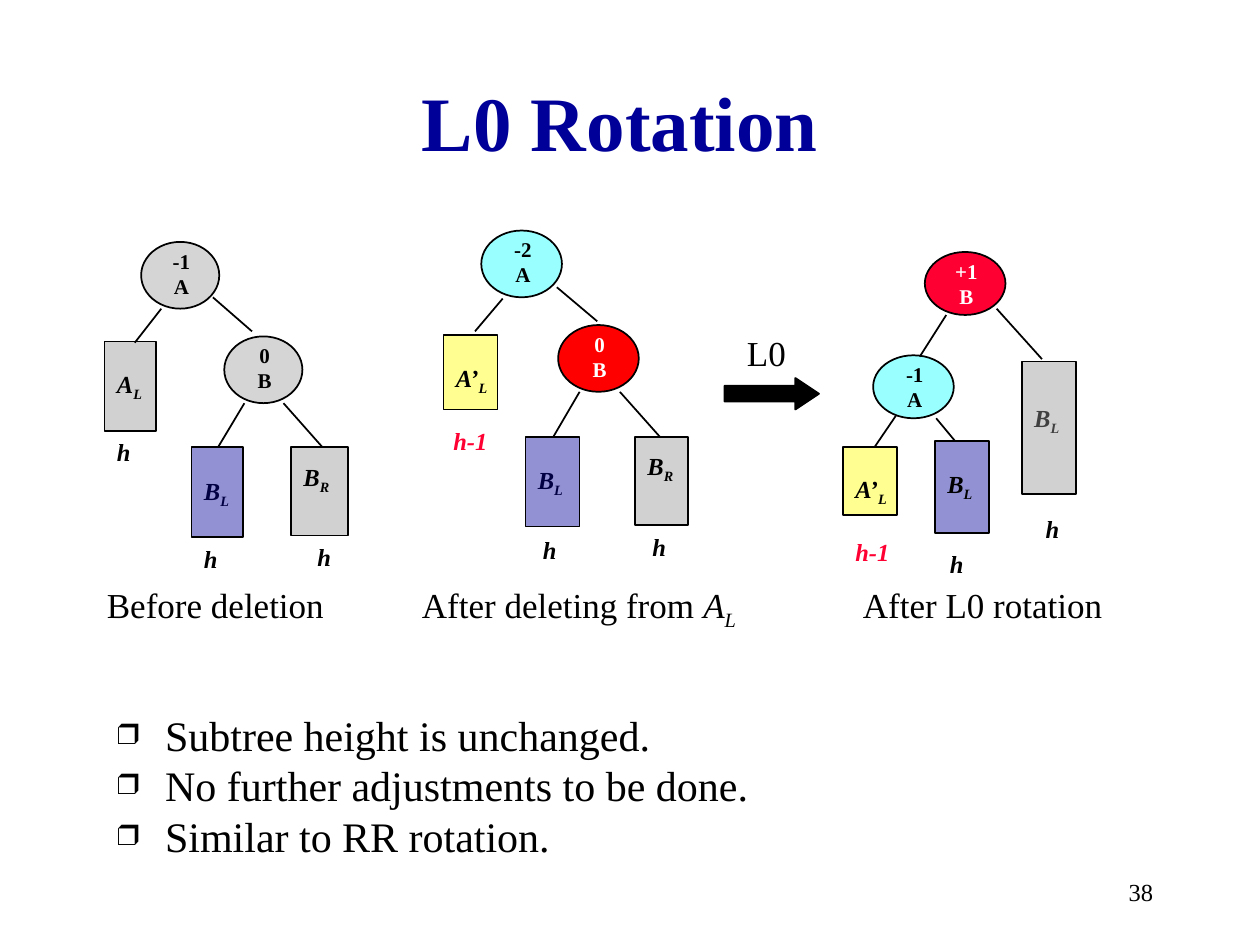
from lxml.etree import SubElement
from pptx import Presentation
from pptx.dml.color import RGBColor
from pptx.enum.shapes import MSO_CONNECTOR, MSO_SHAPE
from pptx.enum.text import MSO_ANCHOR, PP_ALIGN
from pptx.oxml.ns import qn
from pptx.util import Inches, Pt

FONT = "Times New Roman"
BLACK, WHITE, RED, GRAY = "000000", "FFFFFF", "FF0033", "969696"
NAVY, CYAN, YELLOW = "000099", "00FFFF", "FFFF00"

# nodes: balance, key, left, top, fill, opacity %, text colour
# subtrees: letter, subscript, left, top, width, height, fill, label top, label covered
# heights: text, left, top, colour
# edges: x1, y1, x2, y2
TREES = [
    {
        "node_size": (0.62, 0.53),
        "nodes": [("-1", "A", 1.12, 1.92, GRAY, 40, BLACK),
                  ("0", "B", 1.78, 2.67, GRAY, 40, BLACK)],
        "subtrees": [("B", "L", 1.52, 3.55, 0.41, 0.71, NAVY, 3.73, True),
                     ("B", "R", 2.31, 3.55, 0.45, 0.7, GRAY, 3.62, False),
                     ("A", "L", 0.83, 2.71, 0.41, 0.71, GRAY, 2.88, False)],
        "heights": [("h", 0.83, 3.42, BLACK), ("h", 2.42, 4.25, BLACK),
                    ("h", 1.52, 4.27, BLACK)],
        "edges": [(1.28, 2.45, 1.07, 2.72), (1.94, 3.2, 1.73, 3.55),
                  (2.25, 3.2, 2.56, 3.55), (1.69, 2.36, 2, 2.63)],
    },
    {
        "node_size": (0.64, 0.53),
        "nodes": [("-2", "A", 3.82, 1.83, CYAN, 40, BLACK),
                  ("0", "B", 4.43, 2.58, "FF0000", 100, WHITE)],
        "subtrees": [("B", "L", 4.17, 3.47, 0.43, 0.71, NAVY, 3.64, True),
                     ("B", "R", 5.04, 3.47, 0.42, 0.7, GRAY, 3.53, False),
                     ("A’", "L", 3.52, 2.66, 0.43, 0.59, YELLOW, 2.83, False)],
        "heights": [("h-1", 3.5, 3.33, RED), ("h", 5.08, 4.17, BLACK),
                    ("h", 4.21, 4.2, BLACK)],
        "edges": [(3.99, 2.37, 3.77, 2.63), (4.6, 3.11, 4.39, 3.47),
                  (4.92, 3.11, 5.24, 3.47), (4.42, 2.28, 4.74, 2.55)],
    },
    {
        "node_size": (0.64, 0.5),
        "nodes": [("-1", "A", 6.93, 2.82, CYAN, 40, BLACK),
                  ("+1", "B", 7.34, 2, RED, 100, WHITE)],
        "subtrees": [("B", "L", 7.42, 3.5, 0.43, 0.73, NAVY, 3.67, False),
                     ("A’", "L", 6.69, 3.55, 0.43, 0.54, YELLOW, 3.71, False),
                     ("B", "L", 8.11, 2.87, 0.43, 1.05, GRAY, 3.15, True)],
        "heights": [("h-1", 6.69, 4.21, RED), ("h", 7.44, 4.31, BLACK),
                    ("h", 8.2, 4.03, BLACK)],
        "edges": [(7.51, 2.5, 7.3, 2.83), (7.91, 2.45, 8.27, 2.85),
                  (7.43, 3.32, 7.58, 3.5), (7.11, 3.3, 6.94, 3.55)],
    },
]
# left, width, runs as (text, italic, subscript)
CAPTIONS = [
    (0.75, 2, [("Before deletion", False, False)]),
    (3.25, 2.83, [("After deleting from ", False, False),
                  ("A", True, False), ("L", True, True)]),
    (6.75, 2.33, [("After L0 rotation", False, False)]),
]
POINTS = ["Subtree height is unchanged.",
          "No further adjustments to be done.",
          "Similar to RR rotation."]


def rgb(color):
    return RGBColor.from_string(color)


def add_run(paragraph, text, size, color=BLACK, bold=False, italic=False, subscript=False):
    run = paragraph.add_run()
    run.text = text
    font = run.font
    font.name, font.size, font.bold, font.italic = FONT, Pt(size), bold, italic
    font.color.rgb = rgb(color)
    if subscript:
        run.font._element.set("baseline", "-25000")


def add_text(left, top, width, height, align=PP_ALIGN.LEFT, wrap=True):
    """Add an empty text box and return its first paragraph."""
    frame = slide.shapes.add_textbox(*map(Inches, (left, top, width, height))).text_frame
    frame.word_wrap = wrap
    frame.paragraphs[0].alignment = align
    return frame.paragraphs[0]


def add_outlined(preset, left, top, width, height, fill, opacity=100):
    shape = slide.shapes.add_shape(preset, *map(Inches, (left, top, width, height)))
    shape.shadow.inherit = False
    shape.fill.solid()
    shape.fill.fore_color.rgb = rgb(fill)
    shape.line.color.rgb = rgb(BLACK)
    shape.line.width = Pt(1)
    if opacity < 100:
        color = shape.fill._xPr.find(qn("a:solidFill"))[0]
        SubElement(color, qn("a:alpha"), val=str(opacity * 1000))
    return shape


def add_edge(*ends):
    edge = slide.shapes.add_connector(MSO_CONNECTOR.STRAIGHT, *map(Inches, ends))
    edge.line.color.rgb = rgb(BLACK)
    edge.line.width = Pt(1)
    SubElement(edge._element.spPr, qn("a:effectLst"))


def add_node(size, balance, key, left, top, fill, opacity, color):
    width, height = size
    add_outlined(MSO_SHAPE.OVAL, left, top, width, height, fill, opacity)
    label = add_text(left + 0.06, top, width - 0.1, 0.5, PP_ALIGN.CENTER)
    add_run(label, balance, 12, color, bold=True)
    label.add_line_break()
    add_run(label, key, 12, color, bold=True)


def add_subtree(letter, subscript, left, top, width, height, fill, label_top, covered):
    def add_box():
        add_outlined(MSO_SHAPE.RECTANGLE, left, top, width, height, fill, 43)

    if not covered:
        add_box()
    label = add_text(left, label_top, 0.64, 0.33)
    add_run(label, letter, 14, bold=True, italic=True)
    add_run(label, subscript, 14, bold=True, italic=True, subscript=True)
    if covered:
        add_box()


def add_bullet(paragraph):
    props = paragraph._p.get_or_add_pPr()
    props.set("marL", str(Inches(0.38)))
    props.set("indent", str(-Inches(0.38)))
    SubElement(SubElement(props, qn("a:buClr")), qn("a:srgbClr"), val=BLACK)
    SubElement(props, qn("a:buSzPct"), val="70000")
    SubElement(props, qn("a:buFont"), typeface=FONT)
    SubElement(props, qn("a:buChar"), char="❒")


def place(placeholder, left, top, width, height, anchor):
    placeholder.left, placeholder.top = Inches(left), Inches(top)
    placeholder.width, placeholder.height = Inches(width), Inches(height)
    placeholder.text_frame.vertical_anchor = anchor
    return placeholder.text_frame


prs = Presentation()
prs.slide_width, prs.slide_height = Inches(10), Inches(7.5)
slide = prs.slides.add_slide(prs.slide_layouts[1])

title = place(slide.shapes.title, 0.67, 0.33, 8.5, 1.25, MSO_ANCHOR.MIDDLE)
title.paragraphs[0].alignment = PP_ALIGN.CENTER
add_run(title.paragraphs[0], "L0 Rotation", 44, NAVY, bold=True)

for tree in TREES:
    for node in tree["nodes"]:
        add_node(tree["node_size"], *node)
    for subtree in tree["subtrees"]:
        add_subtree(*subtree)
    for edge_ends in tree["edges"]:
        add_edge(*edge_ends)
    for height_text, left, top, color in tree["heights"]:
        add_run(add_text(left, top, 0.64, 0.33), height_text, 14, color, bold=True, italic=True)

arrow = add_outlined(MSO_SHAPE.RIGHT_ARROW, 5.75, 3, 0.75, 0.25, BLACK)
arrow.adjustments[0], arrow.adjustments[1] = 0.5, 0.75
add_run(add_text(5.83, 2.58, 0.58, 0.43), "L0", 20)

for left, width, parts in CAPTIONS:
    caption = add_text(left, 4.58, width, 0.43)
    for text, italic, subscript in parts:
        add_run(caption, text, 20, italic=italic, subscript=subscript)

body = place(slide.placeholders[1], 0.83, 5.58, 8.5, 1.42, MSO_ANCHOR.TOP)
for index, point in enumerate(POINTS):
    paragraph = body.add_paragraph() if index else body.paragraphs[0]
    paragraph.space_before = Pt(0)
    add_bullet(paragraph)
    add_run(paragraph, point, 24)

page = add_text(7.17, 6.83, 2.08, 0.5, PP_ALIGN.RIGHT, wrap=False)
page._parent.vertical_anchor = MSO_ANCHOR.MIDDLE
add_run(page, "38", 14)

prs.save("out.pptx")
